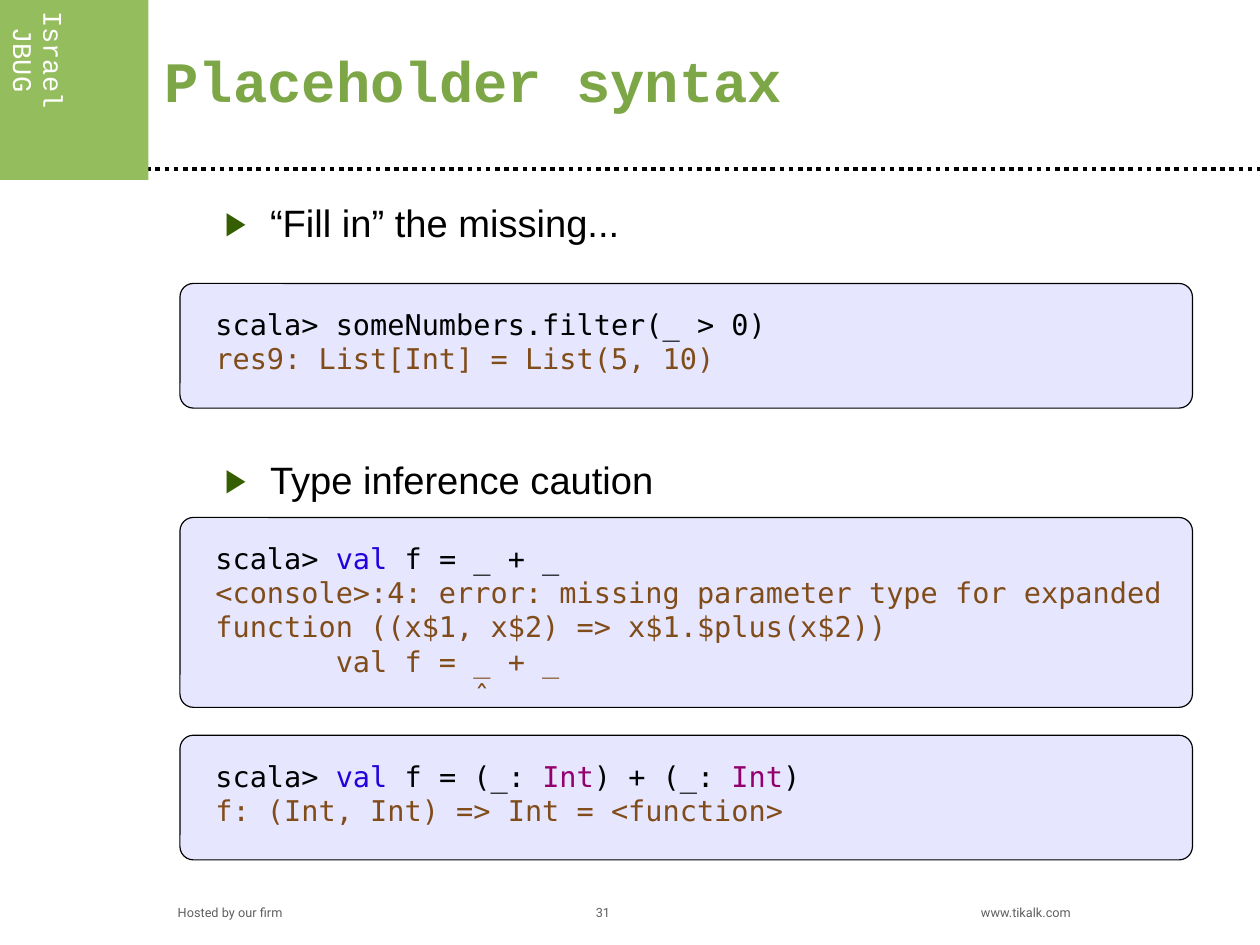
from lxml import etree
from pptx import Presentation
from pptx.dml.color import RGBColor
from pptx.enum.dml import MSO_LINE
from pptx.enum.shapes import MSO_CONNECTOR, MSO_SHAPE
from pptx.enum.text import MSO_ANCHOR, MSO_AUTO_SIZE, PP_ALIGN
from pptx.oxml.ns import qn
from pptx.util import Cm, Pt

ROUND_DOT = MSO_LINE.ROUND_DOT
STRAIGHT = MSO_CONNECTOR.STRAIGHT
RECTANGLE, ROUNDED = MSO_SHAPE.RECTANGLE, MSO_SHAPE.ROUNDED_RECTANGLE
TOP, MIDDLE = MSO_ANCHOR.TOP, MSO_ANCHOR.MIDDLE
NO_FIT = MSO_AUTO_SIZE.NONE
LEFT, CENTER = PP_ALIGN.LEFT, PP_ALIGN.CENTER

COLORS = {
    "text": "000000", "band": "94BD5E", "title": "7DA647", "label": "FFFFFF",
    "footer": "5F5F5F", "panel": "E6E6FF", "bullet": "355E00",
    "keyword": "2300DC", "type": "94006B", "output": "804C19",
}
SANS, MONO, CODE, SMALL = "Arial", "Courier New", "DejaVu Sans Mono", "Roboto"


class SyntaxSlide:
    """Holds the deck style and the slide, and draws each kind of element."""

    def __init__(self, deck):
        self.slide = deck.slides.add_slide(deck.slide_layouts[3])
        self.shapes = self.slide.shapes

    def color(self, name):
        return RGBColor.from_string(COLORS[name])

    def style(self, run, font, size, color, bold=False):
        run.font.name = font
        run.font.size = Pt(size)
        run.font.bold = bold
        run.font.color.rgb = self.color(color)

    def frame(self, shape, anchor=TOP, insets=(0, 0, 0, 0)):
        frame = shape.text_frame
        frame.word_wrap = True
        frame.auto_size = NO_FIT
        frame.vertical_anchor = anchor
        (frame.margin_left, frame.margin_top,
         frame.margin_right, frame.margin_bottom) = map(Cm, insets)
        return frame

    def place(self, shape, left, top, width, height):
        shape.left, shape.top = Cm(left), Cm(top)
        shape.width, shape.height = Cm(width), Cm(height)

    def panel(self, kind, fill, left, top, width, height):
        panel = self.shapes.add_shape(kind, Cm(left), Cm(top), Cm(width), Cm(height))
        panel.shadow.inherit = False
        panel.fill.solid()
        panel.fill.fore_color.rgb = self.color(fill)
        panel.line.fill.background()
        return panel

    def rule(self, left, right, top):
        rule = self.shapes.add_connector(STRAIGHT, Cm(left), Cm(top), Cm(right), Cm(top))
        rule.line.color.rgb = self.color("text")
        rule.line.width = Pt(2.9)
        rule.line.dash_style = ROUND_DOT
        etree.SubElement(rule._element.spPr, qn("a:effectLst"))

    def title(self, text):
        title = self.shapes.title
        self.place(title, 3.38, 0.84, 22.8, 1.96)
        frame = self.frame(title, MIDDLE, (0.28, 0.18, 0.28, 0.15))
        frame.text = text
        heading = frame.paragraphs[0]
        heading.alignment = LEFT
        heading.line_spacing = 0.98
        self.style(heading.runs[0], MONO, 36, "title", True)

    def bullet(self, index, text, top):
        body = self.slide.placeholders[index]
        self.place(body, 5, top, 20.7, 1)
        frame = self.frame(body)
        frame.text = text
        item = frame.paragraphs[0]
        props = item._p.get_or_add_pPr()
        props.set("marL", str(Cm(1)))
        props.set("indent", str(-Cm(1)))
        tint = etree.SubElement(props, qn("a:buClr"))
        etree.SubElement(tint, qn("a:srgbClr"), val=COLORS["bullet"])
        etree.SubElement(props, qn("a:buSzPct"), val="85000")
        etree.SubElement(props, qn("a:buChar"), char="▶")
        item.line_spacing = 0.93
        item.space_before = Pt(0)
        self.style(item.runs[0], SANS, 24, "text")

    def code(self, top, height, lines):
        panel = self.panel(ROUNDED, "panel", 4, top, 22.5, height)
        panel.adjustments[0] = 0.3 / height
        panel.line.color.rgb = self.color("text")
        panel.line.width = Pt(0.75)
        frame = self.frame(panel, insets=(0.7, 0.43, 0, 0))
        for number, spans in enumerate(lines):
            line = frame.add_paragraph() if number else frame.paragraphs[0]
            line.alignment = LEFT
            for text, color in spans:
                run = line.add_run()
                run.text = text
                self.style(run, CODE, 18, color)

    def label(self, text, left, top, width, height, font, size, color,
              align=LEFT, anchor=MIDDLE, insets=(0, 0, 0, 0)):
        box = self.shapes.add_textbox(Cm(left), Cm(top), Cm(width), Cm(height))
        frame = self.frame(box, anchor, insets)
        frame.text = text
        caption = frame.paragraphs[0]
        caption.alignment = align
        self.style(caption.runs[0], font, size, color)
        return box

    def side_label(self, text):
        box = self.label(text, 0.46, 0, 1.17, 3.68, MONO, 17, "label",
                         CENTER, TOP, (0.13, 0.25, 0.13, 0.25))
        frame = box.text_frame
        frame.paragraphs[0].line_spacing = 0.93
        frame._txBody.bodyPr.set("vert", "eaVert")


def main():
    deck = Presentation()
    deck.slide_width, deck.slide_height = Cm(28), Cm(21)
    page = SyntaxSlide(deck)

    page.rule(3.25, 28, 3.76)
    page.panel(RECTANGLE, "band", 0, 0, 3.3, 4)
    page.side_label("Israel JBUG")
    page.title("Placeholder syntax")

    page.bullet(1, "“Fill in” the missing...", 4.53)
    page.code(6.3, 2.77, [
        [("scala> someNumbers.filter(_ > 0)", "text")],
        [("res9: List[Int] = List(5, 10)", "output")],
    ])

    page.bullet(2, "Type inference caution", 10.24)
    prompt = [("scala> ", "text"), ("val", "keyword")]
    page.code(11.5, 4.22, [
        prompt + [(" f = _ + _", "text")],
        [("<console>:4: error: missing parameter type for expanded", "output")],
        [("function ((x$1, x$2) => x$1.$plus(x$2))", "output")],
        [("       val f = _ + _", "output")],
        [("               ˆ", "output")],
    ])
    page.code(16.34, 2.77, [
        prompt + [(" f = (_: ", "text"), ("Int", "type"), (") + (_: ", "text"),
                  ("Int", "type"), (")", "text")],
        [("f: (Int, Int) => Int = <function>", "output")],
    ])

    for text, left, align in (("Hosted by our firm", 3.95, LEFT),
                              ("31", 11.4, CENTER),
                              ("www.tikalk.com", 21.8, LEFT)):
        page.label(text, left, 20, 4, 0.56, SMALL, 8, "footer", align)

    deck.save("out.pptx")


if __name__ == "__main__":
    main()
